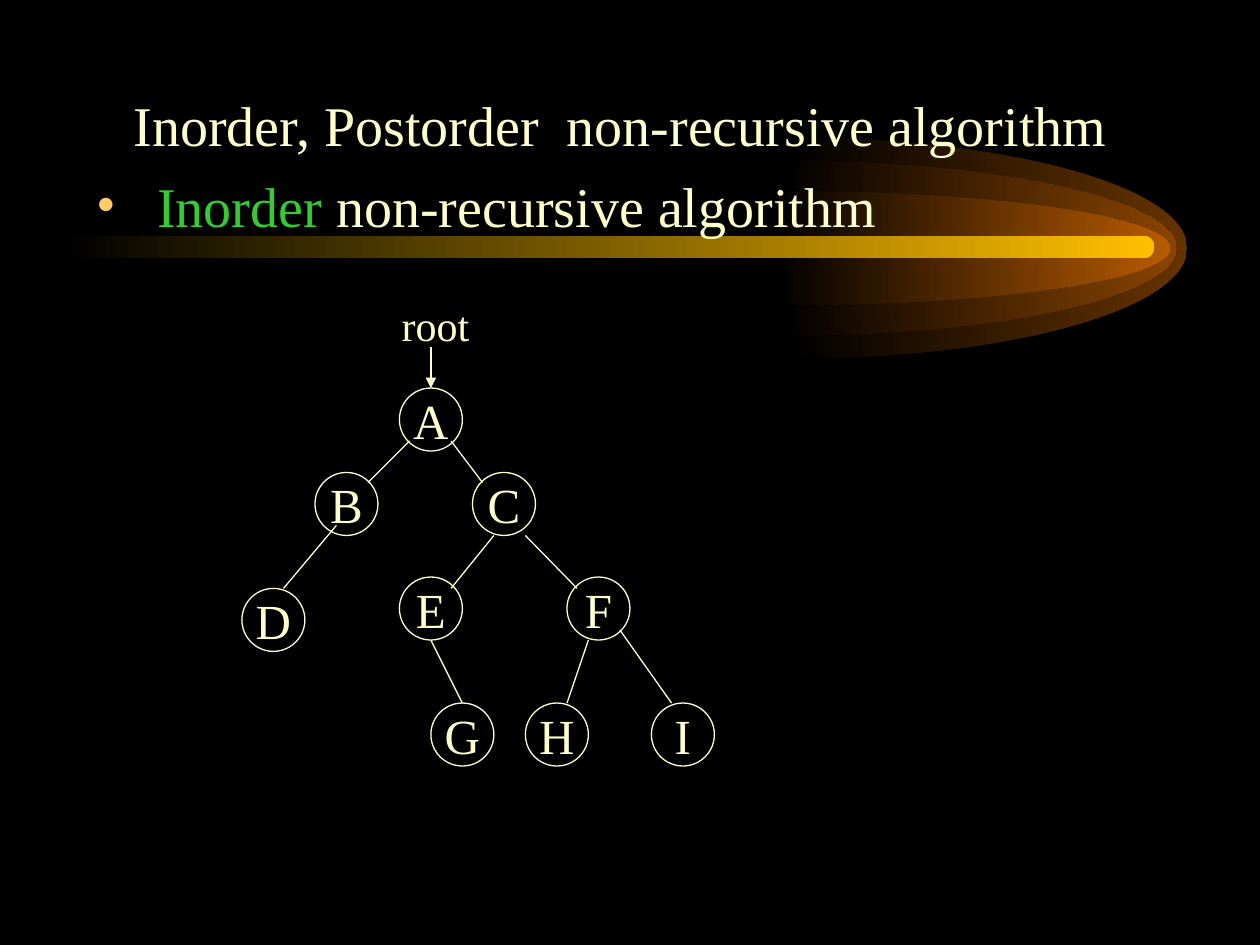
from dataclasses import dataclass

from lxml.etree import SubElement
from pptx import Presentation
from pptx.dml.color import RGBColor as RGB
from pptx.enum.shapes import MSO_CONNECTOR as CONNECTOR, MSO_SHAPE as SHAPE
from pptx.enum.text import MSO_ANCHOR as ANCHOR, PP_ALIGN as ALIGN
from pptx.oxml.ns import qn
from pptx.util import Inches, Pt


@dataclass(frozen=True)
class Theme:
    font: str = "Times New Roman"
    background: str = "000000"
    text: str = "FFFFCC"
    accent: str = "33CC33"
    bullet: str = "FFCC66"
    bar: str = "FFBF00"
    glows: tuple = ("663300", "894400", "B75B00")
    heading_size: int = 32
    node_size: int = 28
    label_size: int = 24
    line_width: float = 0.75


theme = Theme()


def write(shape, runs, size, **frame):
    tf = shape.text_frame
    settings = {"word_wrap": True, "vertical_anchor": ANCHOR.TOP, **frame}
    for name, value in settings.items():
        setattr(tf, name, value)
    p = tf.paragraphs[0]
    p.alignment = ALIGN.LEFT
    for text, color in runs:
        r = p.add_run()
        r.text = text
        for name, value in {"name": theme.font, "size": Pt(size), "bold": False}.items():
            setattr(r.font, name, value)
        r.font.color.rgb = RGB.from_string(color)
    return p


def fade(shape, color):
    shape.shadow.inherit = False
    shape.line.fill.background()
    shape.fill.gradient()
    shape.fill.gradient_angle = 0
    for stop, value, position in zip(shape.fill.gradient_stops, (theme.background, color), (0, 1)):
        stop.color.rgb = RGB.from_string(value)
        stop.position = position


prs = Presentation()
prs.slide_width, prs.slide_height = Inches(10), Inches(7.5)
s = prs.slides.add_slide(prs.slide_layouts[5])
s.background.fill.solid()
s.background.fill.fore_color.rgb = RGB.from_string(theme.background)

glow_y, glow_rx, bend = 1.97, Inches(3.13), 0.55
for color, left, height in zip(theme.glows, (6.29, 6.21, 6.16), (1.75, 1.39, 0.91)):
    x, y, ry = Inches(left), Inches(glow_y), Inches(height / 2)
    outline = s.shapes.build_freeform(x, y - ry)
    outline.add_line_segments([(x + glow_rx, y), (x, y + ry)], close=True)
    glow = outline.convert_to_shape()
    curves = (
        ((bend * glow_rx, 0), (glow_rx, (1 - bend) * ry), (glow_rx, ry)),
        ((glow_rx, (1 + bend) * ry), (bend * glow_rx, 2 * ry), (0, 2 * ry)),
    )
    for segment, points in zip(list(glow._element.iter(qn("a:lnTo"))), curves):
        segment.clear()
        curve = segment.makeelement(qn("a:cubicBezTo"))
        segment.getparent().replace(segment, curve)
        for px, py in points:
            SubElement(curve, qn("a:pt"), x=str(round(px)), y=str(round(py)))
    fade(glow, color)

bar = s.shapes.add_shape(SHAPE.ROUNDED_RECTANGLE, Inches(0.5), Inches(1.87), Inches(8.66), Inches(0.18))
bar.adjustments[0] = 0.5
fade(bar, theme.bar)

title = s.shapes.title
s.shapes._spTree.append(title._element)
title.left, title.top, title.width, title.height = map(Inches, (0.67, 0.67, 8.5, 0.62))
write(title, [("Inorder, Postorder  non-recursive algorithm", theme.text)], theme.heading_size,
      margin_left=Inches(0.39))

body = s.shapes.add_textbox(Inches(0.67), Inches(1.31), Inches(8.5), Inches(5.78))
p = write(body, [("Inorder ", theme.accent), ("non-recursive algorithm", theme.text)], theme.heading_size)
pPr = p._p.get_or_add_pPr()
pPr.set("marL", str(Inches(0.48)))
pPr.set("indent", str(-Inches(0.48)))
SubElement(SubElement(pPr, qn("a:buClr")), qn("a:srgbClr"), val=theme.bullet)
SubElement(pPr, qn("a:buFont"), typeface=theme.font)
SubElement(pPr, qn("a:buChar"), char="•")

positions = {
    "A": (3.17, 3.08), "B": (2.5, 3.75), "C": (3.75, 3.75),
    "D": (1.92, 4.67), "E": (3.17, 4.58), "F": (4.5, 4.58),
    "I": (5.17, 5.58), "H": (4.17, 5.58), "G": (3.42, 5.58),
}
nodes = {}
for name, (x, y) in positions.items():
    node = s.shapes.add_shape(SHAPE.OVAL, Inches(x), Inches(y), Inches(0.5), Inches(0.5))
    node.shadow.inherit = False
    node.fill.background()
    node.line.color.rgb = RGB.from_string(theme.text)
    node.line.width = Pt(theme.line_width)
    p = write(node, [(name, theme.text)], theme.node_size, word_wrap=False, vertical_anchor=ANCHOR.MIDDLE)
    p.alignment = ALIGN.CENTER
    nodes[name] = node

root = s.shapes.add_textbox(Inches(3.09), Inches(2.33), Inches(0.74), Inches(0.5))
write(root, [("root", theme.text)], theme.label_size, word_wrap=False)

edges = [
    (3.25, 3.5, 2.92, 3.83, None), (2.67, 4.17, 2.25, 4.67, None),
    (3.58, 3.5, 3.83, 3.83, None), (3.92, 4.25, 3.58, 4.67, None),
    (4.17, 4.25, 4.58, 4.67, None), (3.42, 5.08, 3.67, 5.58, "G"),
    (4.67, 5.08, 4.5, 5.58, None), (4.92, 5, 5.33, 5.58, None),
    (3.42, 2.75, 3.42, 3.08, "A"),
]
for *ends, target in edges:
    edge = s.shapes.add_connector(CONNECTOR.STRAIGHT, *map(Inches, ends))
    edge.line.color.rgb = RGB.from_string(theme.text)
    edge.line.width = Pt(theme.line_width)
    if target:
        edge.end_connect(nodes[target], 0)
    if target == "A":
        SubElement(edge.line._get_or_add_ln(), qn("a:tailEnd"), type="triangle")
    SubElement(edge._element.spPr, qn("a:effectLst"))

prs.save("out.pptx")
